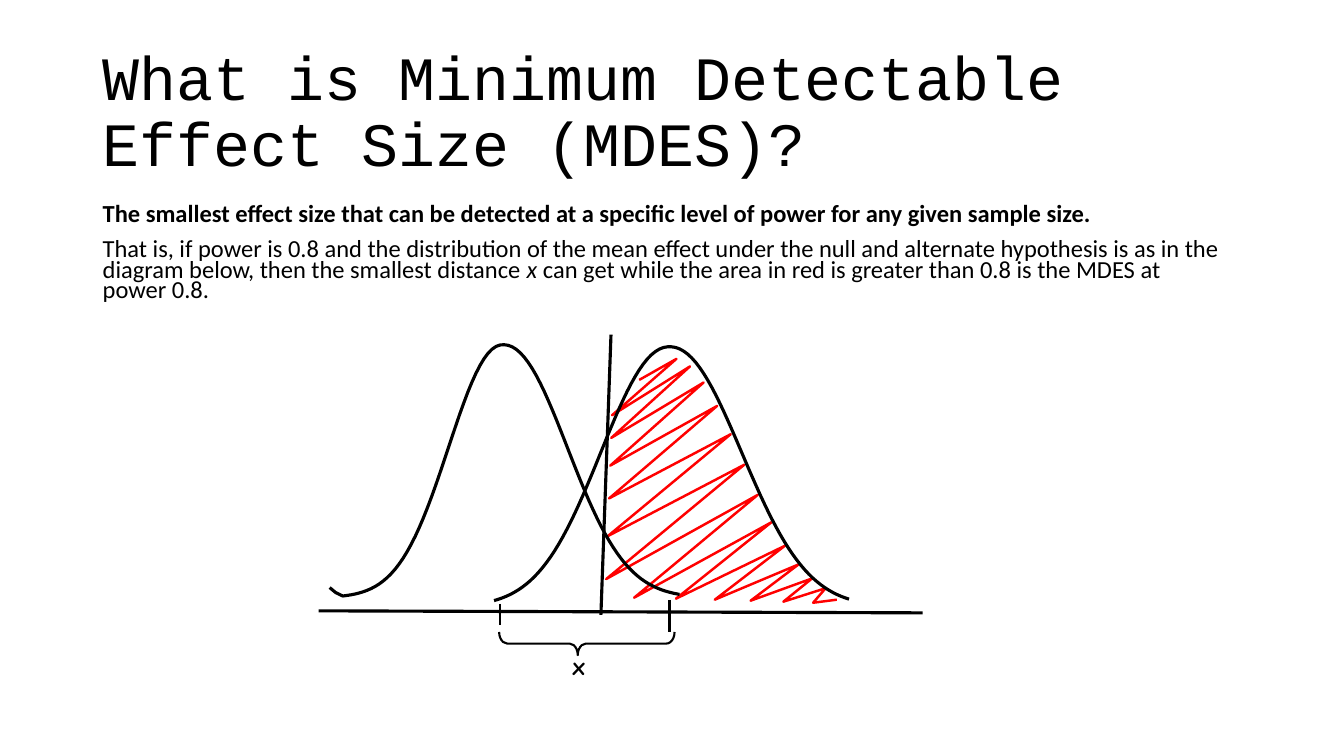
from dataclasses import dataclass
from lxml.etree import SubElement
from pptx import Presentation
from pptx.dml.color import RGBColor
from pptx.enum.shapes import MSO_CONNECTOR, MSO_SHAPE
from pptx.enum.text import MSO_ANCHOR
from pptx.oxml.ns import qn
from pptx.util import Inches, Pt

COLORS = {"ink": "000000", "power": "FF0000"}
CELL = Inches(0.01)
COLUMNS, ROWS = 1333, 750
BELL_EXPONENT = 2.1
BELL_STEP = 4
HATCH_PAIRS = 12
HATCH_MARGIN = 11


@dataclass
class Bell:
    start: int
    end: int
    peak: int
    top: int
    foot: int
    left_half_width: int
    right_half_width: int

    def height_at(self, column):
        half_width = self.left_half_width if column < self.peak else self.right_half_width
        distance = abs(column - self.peak) / half_width
        return self.foot - (self.foot - self.top) * 0.5 ** (distance ** BELL_EXPONENT)

    def points(self):
        columns = [*range(self.start, self.end, BELL_STEP), self.end]
        return [(column, self.height_at(column)) for column in columns]


@dataclass
class Line:
    start: tuple
    end: tuple

    def column_at(self, row):
        (x1, y1), (x2, y2) = self.start, self.end
        return x1 + (x2 - x1) * (row - y1) / (y2 - y1)


NULL = Bell(start=340, end=674, peak=499, top=342, foot=593,
            left_half_width=62, right_half_width=73)
ALTERNATE = Bell(start=490, end=842, peak=664, top=344, foot=602,
                 left_half_width=78, right_half_width=82)
NULL_TAIL = [(327, 583), (333, 588)]
BASELINE = Line((316, 606), (915, 608))
CRITICAL_VALUE = Line((596, 610), (606, 332))
TICKS = [Line((496, 599), (496, 620)), Line((664, 595), (664, 627))]


def cells(count):
    return round(count * CELL)


def upper_turn(index):
    share = index / (HATCH_PAIRS - 1)
    column = 671 + 148 * share
    return column, ALTERNATE.height_at(column) + HATCH_MARGIN * (1 - share)


def lower_turn(index):
    half = HATCH_PAIRS // 2
    if index < half:
        row = 412 + 20 * index + 2.5 * index ** 2
        return CRITICAL_VALUE.column_at(row) + 4, row
    step = index - half
    return 629 + 43 * step - 1.5 * step ** 2, 593 + step


def power_hatching():
    points = [(634, 377)]
    for index in range(HATCH_PAIRS):
        points += [upper_turn(index), lower_turn(index)]
    return points + [(830, 595)]


def style_line(shape, width, color="ink"):
    shape.line.color.rgb = RGBColor.from_string(COLORS[color])
    shape.line.width = Pt(width)


def add_stroke(slide, points, width, color="ink"):
    vertices = [(cells(x), cells(y)) for x, y in points]
    builder = slide.shapes.build_freeform(*vertices[0])
    builder.add_line_segments(vertices[1:], close=False)
    shape = builder.convert_to_shape()
    shape.shadow.inherit = False
    shape.fill.background()
    style_line(shape, width, color)
    SubElement(shape.line._ln, qn("a:round"))


def add_line(slide, line, width):
    ends = [cells(value) for value in (*line.start, *line.end)]
    connector = slide.shapes.add_connector(MSO_CONNECTOR.STRAIGHT, *ends)
    style_line(connector, width)
    SubElement(connector._element.spPr, qn("a:effectLst"))


def add_brace_below(slide, left, top, width, height, tip):
    unturned_left = left + (width - height) / 2
    unturned_top = top + (height - width) / 2
    brace = slide.shapes.add_shape(
        MSO_SHAPE.RIGHT_BRACE,
        *map(cells, (unturned_left, unturned_top, height, width)))
    brace.rotation = 90
    brace.adjustments[0] = 0.35
    brace.adjustments[1] = (left + width - tip) / width
    brace.shadow.inherit = False
    brace.fill.background()
    style_line(brace, 1.5)


def add_text(slide, box, paragraphs, font_name, size, bold=False,
             line_spacing=1, anchor=MSO_ANCHOR.TOP, wrap=True):
    frame = slide.shapes.add_textbox(*map(cells, box)).text_frame
    frame.word_wrap = wrap
    frame.vertical_anchor = anchor
    for index, runs in enumerate(paragraphs):
        paragraph = frame.add_paragraph() if index else frame.paragraphs[0]
        paragraph.line_spacing = line_spacing
        paragraph.space_before = Pt(10 if index else 0)
        font = paragraph.font
        font.name, font.size = font_name, Pt(size)
        font.bold = bold and index == 0
        font.color.rgb = RGBColor.from_string(COLORS["ink"])
        for position, text in enumerate(runs):
            run = paragraph.add_run()
            run.text = text
            if position % 2:
                run.font.italic = True


def add_wording(slide):
    add_text(slide, (92, 40, 1150, 145),
             [["What is Minimum Detectable Effect Size (MDES)?"]],
             "Courier New", 44, line_spacing=0.9, anchor=MSO_ANCHOR.MIDDLE)
    add_text(slide, (92, 200, 1133, 129), [
        ["The smallest effect size that can be detected at a specific level of "
         "power for any given sample size."],
        ["That is, if power is 0.8 and the distribution of the mean effect under "
         "the null and alternate hypothesis is as in the diagram below, then the "
         "smallest distance ", "x",
         " can get while the area in red is greater than 0.8 is the MDES at power 0.8."],
    ], "Calibri", 17.5, bold=True, line_spacing=0.7)


def add_diagram(slide):
    add_stroke(slide, power_hatching(), 1.75, "power")
    for curve in (NULL_TAIL + NULL.points(), ALTERNATE.points()):
        add_stroke(slide, curve, 2.25)
    for line in (BASELINE, CRITICAL_VALUE):
        add_line(slide, line, 2.25)
    for tick in TICKS:
        add_line(slide, tick, 2)
    add_brace_below(slide, left=495, top=627, width=174, height=23, tip=573)
    add_text(slide, (558, 640, 32, 40), [["x"]], "Comic Neue", 18, bold=True, wrap=False)


def main():
    presentation = Presentation()
    presentation.slide_width = cells(COLUMNS)
    presentation.slide_height = cells(ROWS)
    slide = presentation.slides.add_slide(presentation.slide_layouts[6])
    add_wording(slide)
    add_diagram(slide)
    presentation.save("out.pptx")


if __name__ == "__main__":
    main()
